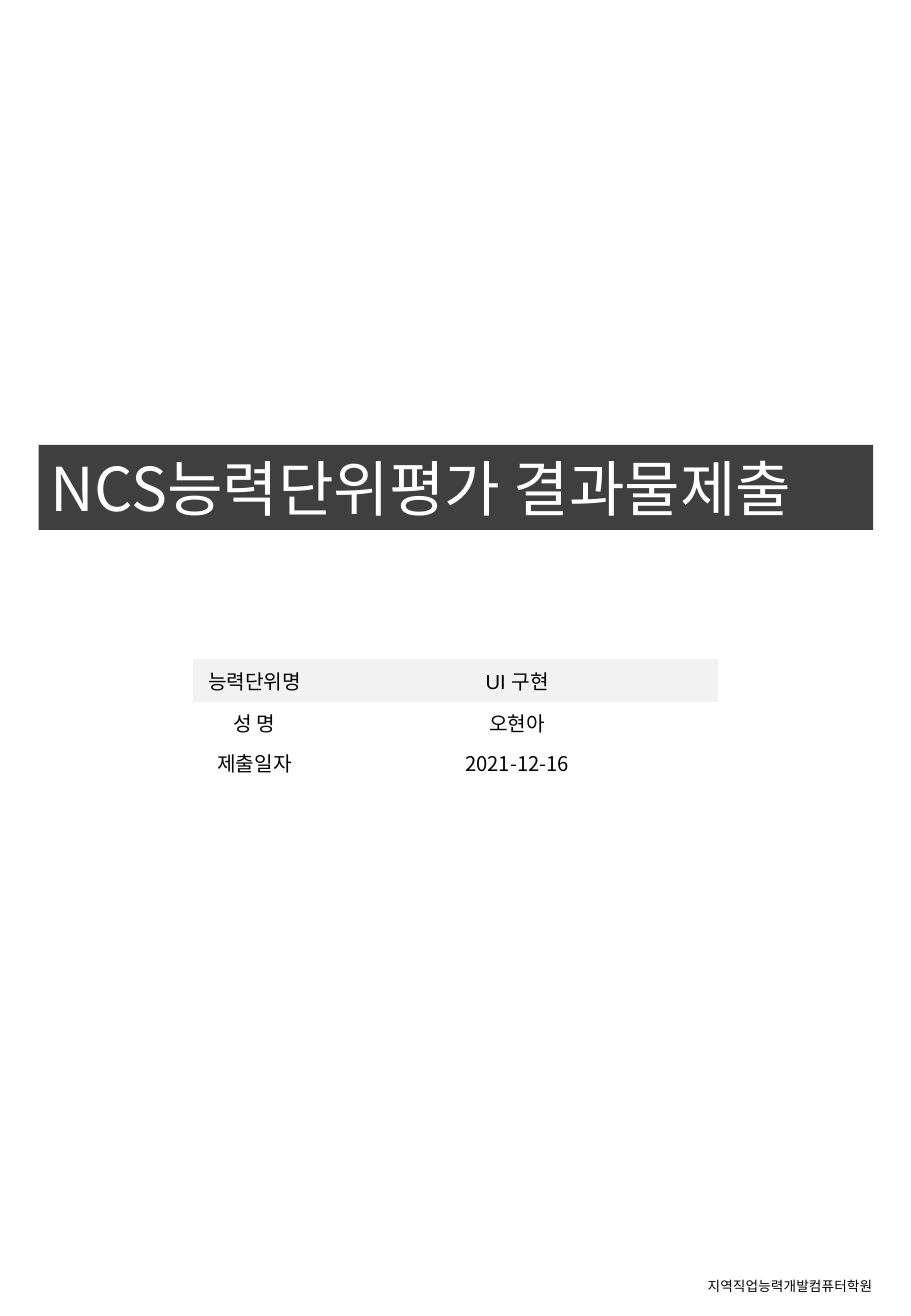
import dataclasses
import typing

import pptx
import pptx.dml.color
import pptx.enum.text
import pptx.oxml
import pptx.oxml.ns
import pptx.util

Cm = pptx.util.Cm
Color = pptx.dml.color.RGBColor
Anchor = pptx.enum.text.MSO_ANCHOR
Align = pptx.enum.text.PP_ALIGN


@dataclasses.dataclass(frozen=True)
class Theme:
    korean: str = "Noto Sans CJK KR"
    latin: str = "Arial"
    ink: Color = Color(0x00, 0x00, 0x00)
    paper: Color = Color(0xFF, 0xFF, 0xFF)
    banner: Color = Color(0x3F, 0x3F, 0x3F)
    heading_row: Color = Color(0xF2, 0xF2, 0xF2)
    title_size: float = 35.8
    table_size: float = 12
    footer_size: float = 8.1


@dataclasses.dataclass(frozen=True)
class Area:
    left: float
    top: float
    width: float
    height: float

    def lengths(self) -> tuple[pptx.util.Length, ...]:
        return tuple(Cm(value) for value in dataclasses.astuple(self))


@dataclasses.dataclass(frozen=True)
class Entry:
    label: str
    value: str
    height: float = 0.84
    font: str = Theme.korean
    fill: Color | None = None


THEME = Theme()
PLAIN_TABLE_STYLE = "{2D5ABB26-0587-4C30-8999-92F81FD0307C}"
TITLE_AREA = Area(0.81, 9.3, 17.45, 1.78)
TABLE_AREA = Area(4.04, 13.77, 10.98, 2.59)
FOOTER_AREA = Area(14.55, 26.59, 4.27, 0.61)
COLUMN_WIDTHS = (2.57, 8.41)
ENTRIES = (
    Entry("능력단위명", "UI 구현", 0.91, THEME.latin, THEME.heading_row),
    Entry("성 명", "오현아"),
    Entry("제출일자", "2021-12-16"),
)


def write(frame: typing.Any, text: str, size: float, color: Color,
          font: str = THEME.korean, align: Align = Align.LEFT) -> None:
    para = frame.paragraphs[0]
    para.alignment = align
    span = para.add_run()
    span.text = text
    span.font.size = pptx.util.Pt(size)
    span.font.name = font
    span.font.color.rgb = color
    # Hangul always uses the Korean face
    east_asian = pptx.oxml.parse_xml(
        f'<a:ea {pptx.oxml.ns.nsdecls("a")} typeface="{THEME.korean}"/>')
    span.font._element.find(pptx.oxml.ns.qn("a:latin")).addnext(east_asian)


def add_banner(page: typing.Any) -> None:
    box = page.shapes.title
    box.left, box.top, box.width, box.height = TITLE_AREA.lengths()
    box.fill.solid()
    box.fill.fore_color.rgb = THEME.banner
    frame = box.text_frame
    frame.auto_size = pptx.enum.text.MSO_AUTO_SIZE.NONE
    frame.vertical_anchor = Anchor.MIDDLE
    write(frame, "NCS능력단위평가 결과물제출", THEME.title_size, THEME.paper)


def add_details(page: typing.Any) -> None:
    table = page.shapes.add_table(
        len(ENTRIES), len(COLUMN_WIDTHS), *TABLE_AREA.lengths()).table
    table.first_row = table.horz_banding = False
    style = table._tbl.tblPr.find(pptx.oxml.ns.qn("a:tableStyleId"))
    style.text = PLAIN_TABLE_STYLE
    for column, width in zip(table.columns, COLUMN_WIDTHS):
        column.width = Cm(width)
    for row, entry in zip(table.rows, ENTRIES):
        row.height = Cm(entry.height)
        for cell, text in zip(row.cells, (entry.label, entry.value)):
            cell.vertical_anchor = Anchor.MIDDLE
            cell.margin_left = cell.margin_right = Cm(0.2)
            cell.margin_top = cell.margin_bottom = Cm(0.1)
            if entry.fill is None:
                cell.fill.background()
            else:
                cell.fill.solid()
                cell.fill.fore_color.rgb = entry.fill
            write(cell.text_frame, text, THEME.table_size, THEME.ink,
                  entry.font, Align.CENTER)


def add_footer(page: typing.Any) -> None:
    box = page.shapes.add_textbox(*FOOTER_AREA.lengths())
    box.text_frame.word_wrap = True
    write(box.text_frame, "지역직업능력개발컴퓨터학원",
          THEME.footer_size, THEME.ink)


def main() -> None:
    deck = pptx.Presentation()
    deck.slide_width, deck.slide_height = Cm(19.05), Cm(27.51)
    # Title-only layout
    page = deck.slides.add_slide(deck.slide_layouts[5])
    add_footer(page)
    add_banner(page)
    add_details(page)
    deck.save("out.pptx")


if __name__ == "__main__":
    main()
